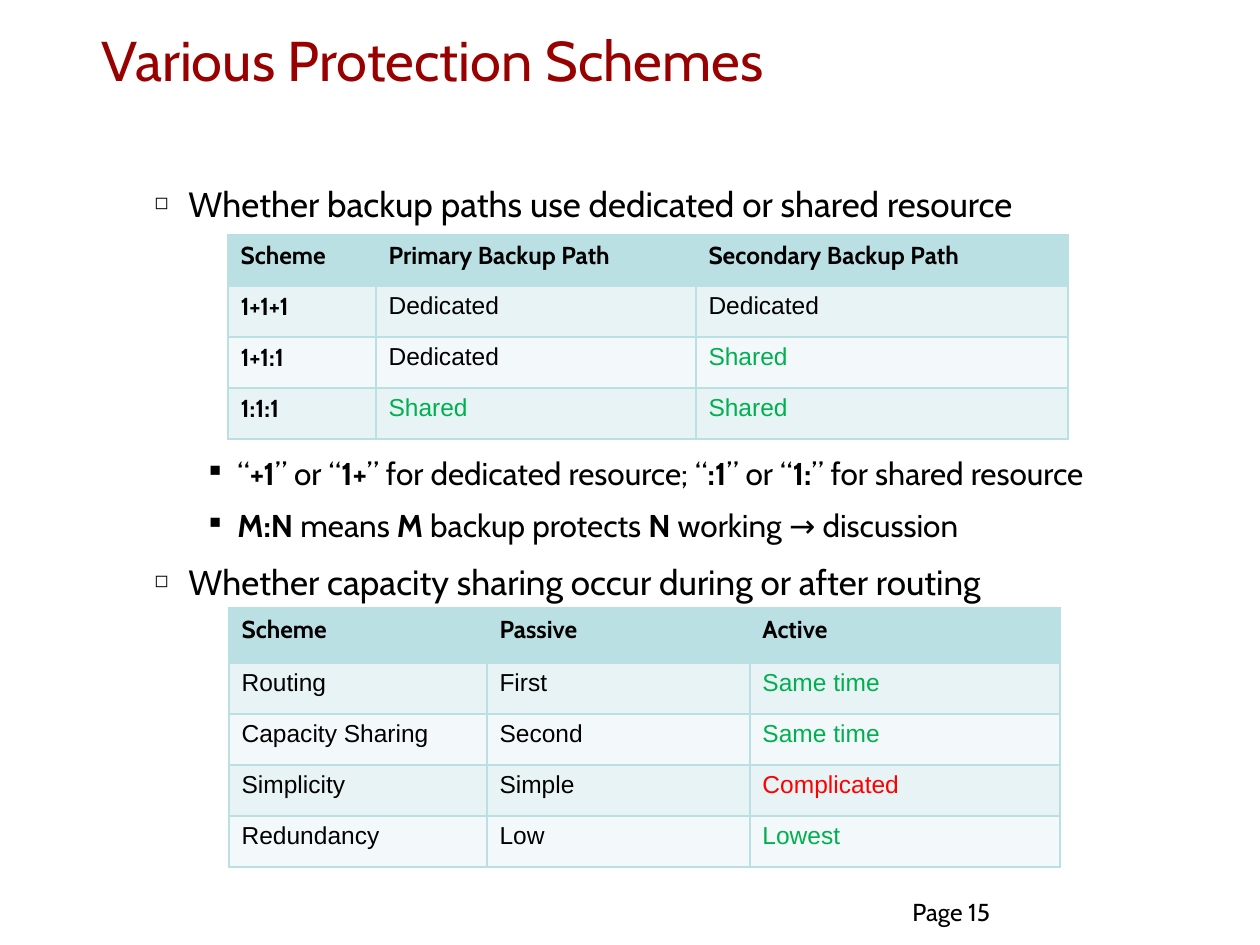
from dataclasses import dataclass

from lxml.etree import SubElement as Sub
from pptx import Presentation
from pptx.dml.color import RGBColor as Rgb
from pptx.oxml.ns import qn
from pptx.util import Emu, Pt

SCALE = 914400 / 126
BLACK, RED, GREEN = "000000", "FF0000", "00B050"
TEAL, BANDS = "BBE0E3", ("E7F3F4", "F3F9FA")
HEAD, PLAIN = "Cabin", "Arial"


@dataclass
class Item:
    runs: list[str]  # plain and bold runs take turns
    size: int
    left: int
    hang: int
    mark: str
    before: int = 0


@dataclass
class Grid:
    left: int
    top: int
    cols: list[int]
    rows: list[int]
    cells: list[list[str]]
    bold: bool = False  # first column set like the header


def px(n: int) -> Emu:
    return Emu(round(n * SCALE))


def color(code: str) -> Rgb:
    return Rgb.from_string(code)


def add_run(para, text: str, size: int, font=HEAD, code=BLACK, bold=False):
    run = para.add_run()
    run.text = text
    run.font.size = Pt(size)
    run.font.name = font
    run.font.bold = bold
    run.font.color.rgb = color(code)


def add_box(slide, left: int, top: int, width: int, height: int):
    frame = slide.shapes.add_textbox(*map(px, (left, top, width, height))).text_frame
    frame.word_wrap = True
    return frame


def add_item(para, item: Item):
    para.line_spacing = 1.4
    para.space_before = Pt(item.before)
    props = para._p.get_or_add_pPr()
    props.set("marL", str(px(item.left)))
    props.set("indent", str(-px(item.hang)))
    tint = Sub(Sub(props, qn("a:buClr")), qn("a:srgbClr"))
    tint.set("val", BLACK)
    Sub(props, qn("a:buSzPct")).set("val", "50000")
    Sub(props, qn("a:buChar")).set("char", item.mark)
    for i, text in enumerate(item.runs):
        if text:
            add_run(para, text, item.size, bold=i % 2 == 1)


def add_edges(cell):
    props = cell._tc.get_or_add_tcPr()
    for side in "LRTB":
        line = Sub(props, qn(f"a:ln{side}"), w=str(Pt(1)))
        Sub(Sub(line, qn("a:solidFill")), qn("a:srgbClr"), val=TEAL)


def add_grid(slide, grid: Grid, tints: dict[str, str]):
    table = slide.shapes.add_table(
        len(grid.rows), len(grid.cols), px(grid.left), px(grid.top),
        px(sum(grid.cols)), px(sum(grid.rows))).table
    table.first_row = table.horz_banding = False
    for col, width in zip(table.columns, grid.cols):
        col.width = px(width)
    for r, (height, texts) in enumerate(zip(grid.rows, grid.cells)):
        table.rows[r].height = px(height)
        for c, text in enumerate(texts):
            cell = table.cell(r, c)
            add_edges(cell)
            cell.fill.solid()
            cell.fill.fore_color.rgb = color(BANDS[(r - 1) % 2] if r else TEAL)
            strong = r == 0 or (grid.bold and c == 0)
            add_run(cell.text_frame.paragraphs[0], text, 14,
                    HEAD if strong else PLAIN, tints.get(text, BLACK), strong)


ITEMS = [
    Item(["Whether backup paths use dedicated or shared resource"], 20, 90, 34, "◻"),
    # The space above leaves room for the first table
    Item(["“", "+1", "” or “", "1+", "” for dedicated resource; “", ":1",
          "” or “", "1:", "” for shared resource"], 18, 139, 28, "■", 122),
    Item(["", "M:N", " means ", "M", " backup protects ", "N",
          " working → discussion"], 18, 139, 28, "■"),
    Item(["Whether capacity sharing occur during or after routing"], 20, 90, 34, "◻"),
]
GRIDS = [
    Grid(228, 235, [148, 320, 372], [51] * 4, [
        ["Scheme", "Primary Backup Path", "Secondary Backup Path"],
        ["1+1+1", "Dedicated", "Dedicated"],
        ["1+1:1", "Dedicated", "Shared"],
        ["1:1:1", "Shared", "Shared"],
    ], bold=True),
    Grid(229, 608, [258, 263, 310], [55] + [51] * 4, [
        ["Scheme", "Passive", "Active"],
        ["Routing", "First", "Same time"],
        ["Capacity Sharing", "Second", "Same time"],
        ["Simplicity", "Simple", "Complicated"],
        ["Redundancy", "Low", "Lowest"],
    ]),
]
TINTS = {"Shared": GREEN, "Same time": GREEN, "Lowest": GREEN, "Complicated": RED}


def main():
    deck = Presentation()
    deck.slide_width, deck.slide_height = px(1260), px(945)
    slide = deck.slides.add_slide(deck.slide_layouts[6])

    # Title
    title = add_box(slide, 89, 19, 1094, 120)
    add_run(title.paragraphs[0], "Various Protection Schemes", 32, code="990000")

    # Bullets
    body = add_box(slide, 86, 160, 1101, 704)
    for i, item in enumerate(ITEMS):
        add_item(body.add_paragraph() if i else body.paragraphs[0], item)

    # Page number
    page = add_box(slide, 900, 891, 150, 54)
    add_run(page.paragraphs[0], "Page 15", 14)

    # Tables
    for grid in GRIDS:
        add_grid(slide, grid, TINTS)

    deck.save("out.pptx")


if __name__ == "__main__":
    main()
